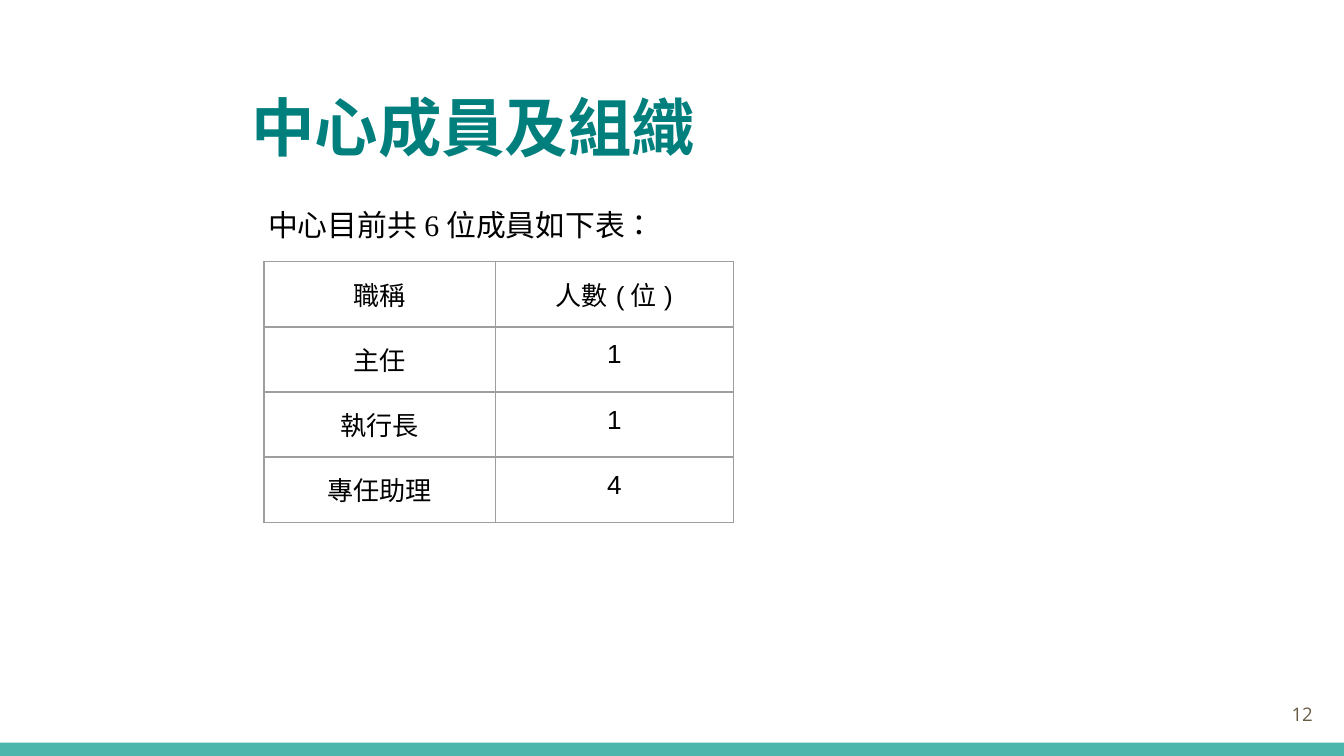
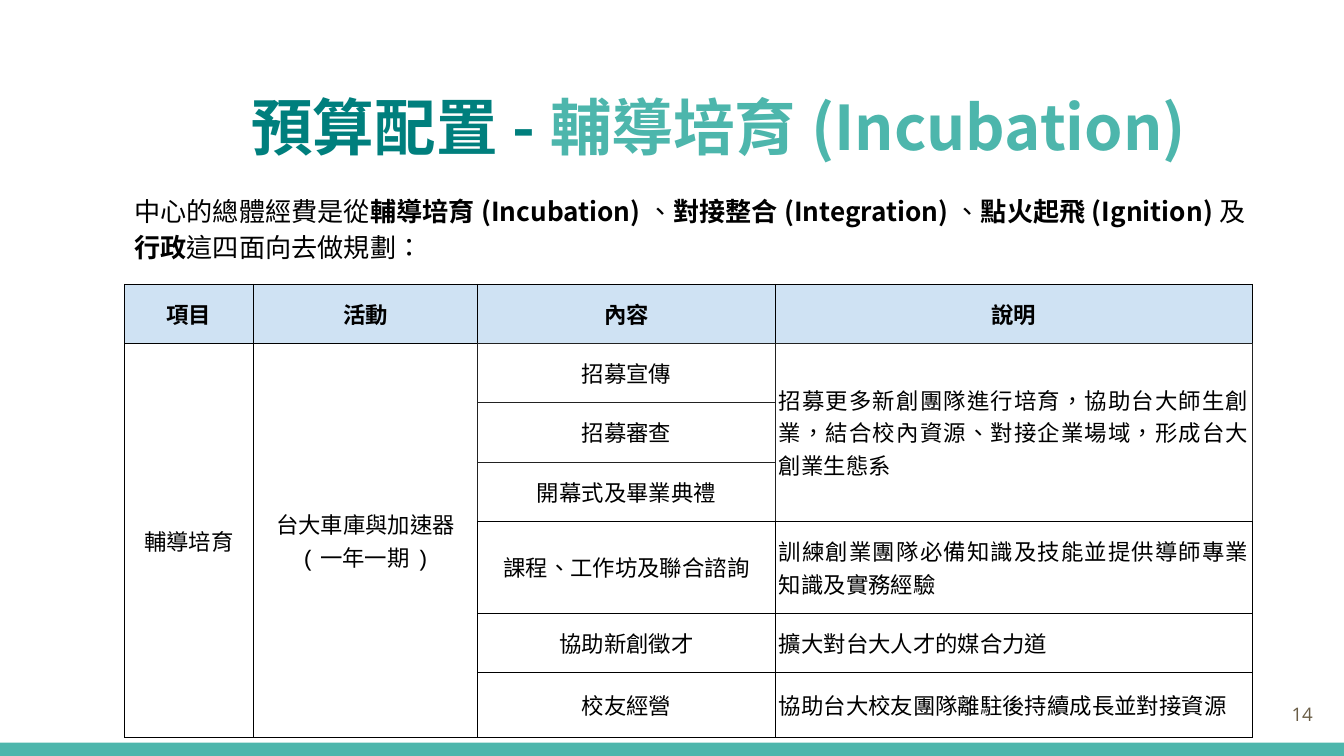
import pptx
import pptx.dml.color
import pptx.enum.shapes
import pptx.enum.text
import pptx.oxml
import pptx.oxml.ns
import pptx.util
from lxml import etree

Cm, Pt = pptx.util.Cm, pptx.util.Pt
ALIGN = pptx.enum.text.PP_ALIGN
ANCHOR = pptx.enum.text.MSO_ANCHOR

COLORS = {
    "deep": "007F7D", "teal": "4DB6AC", "text": "000000", "number": "695D46",
    "grid": "9E9E9E", "soft": "222222", "head": "CFE2F3",
}
CJK = "Noto Sans CJK SC"
LANGUAGE = "zh-TW"
TITLE_BOX = (4.5, 1.4, 20.02, 1.96)
NUMBER_BOX = (23.54, 12.95, 1.52, 1.09)
BAND_BOX = (-0.08, 14.04, 25.56, 0.28)
NUMBER_STYLE = {"size": Pt(10), "name": "Open Sans", "color": "number"}

# Text is a list of (words, format changes).
STAFF = {
    "number": "12",
    "title": [("中心成員及組織", {})],
    "title_size": 34,
    "body": [("中心目前共6位成員如下表：", {})],
    "body_box": (4.82, 3.71, 7.88, 0.89),
    "body_style": {"size": Pt(16), "name": "Times New Roman", "color": "text"},
    "spacing": 0.95,
    "table": {
        "rows": [
            ["職稱", "人數(位)"],
            ["主任", "1"],
            ["執行長", "1"],
            ["專任助理", "4"],
        ],
        "corner": (4.99, 4.95),
        "widths": [4.37, 4.5],
        "heights": [1.23] * 4,
        "style": {"size": Pt(14), "name": "Arial", "color": "text", "bold": False},
        "side": 0.25, "anchor": ANCHOR.TOP, "line": ("grid", 0.75),
        "head": None, "soft_cells": (),
    },
}
BOLD = {"bold": True}
BUDGET = {
    "number": "14",
    "title": [("預算配置-", {}), ("輔導培育(Incubation)", {"color": "teal"})],
    "title_size": 33,
    "body": [
        ("中心的總體經費是從", {}), ("輔導培育(Incubation)", BOLD), ("、", {}),
        ("對接整合(Integration)", BOLD), ("、", {}),
        ("點火起飛(Ignition)", BOLD), ("及", {}), ("行政", BOLD),
        ("這四面向去做規劃：", {}),
    ],
    "body_box": (2.29, 3.35, 21.92, 2.57),
    "body_style": {"size": Pt(14), "name": CJK, "color": "text"},
    "spacing": 1.15,
    "table": {
        # None continues the cell above.
        "rows": [
            ["項目", "活動", "內容", "說明"],
            ["輔導培育", "台大車庫與加速器\n(一年一期)", "招募宣傳",
             "招募更多新創團隊進行培育，協助台大師生創業，結合校內資源、對接企業場域，形成台大創業生態系"],
            [None, None, "招募審查", None],
            [None, None, "開幕式及畢業典禮", None],
            [None, None, "課程、工作坊及聯合諮詢",
             "訓練創業團隊必備知識及技能並提供導師專業知識及實務經驗"],
            [None, None, "協助新創徵才", "擴大對台大人才的媒合力道"],
            [None, None, "校友經營", "協助台大校友團隊離駐後持續成長並對接資源"],
        ],
        "corner": (2.35, 5.37),
        "widths": [2.44, 4.24, 5.62, 9.02],
        "heights": [1.12] * 4 + [1.74, 1.12, 1.23],
        "style": {"size": Pt(12), "name": "Courier New", "color": "text", "bold": False},
        "side": 0.07, "anchor": ANCHOR.MIDDLE, "line": ("text", 0.42),
        "head": "head",
        "soft_cells": [(row, col) for row in (1, 2, 3) for col in (2, 3)],
        "justified": 3,
    },
}


def rgb(name):
    return pptx.dml.color.RGBColor.from_string(COLORS[name])


def write(para, spans, style, align=ALIGN.LEFT, spacing=1.0):
    para.alignment = align
    para.line_spacing = spacing
    for words, changes in spans:
        span = para.add_run()
        span.text = words
        for key, value in {**style, **changes}.items():
            if key == "color":
                span.font.color.rgb = rgb(value)
            else:
                setattr(span.font, key, value)
        properties = span.font._element
        properties.set("lang", LANGUAGE)
        latin = properties.find(pptx.oxml.ns.qn("a:latin"))
        latin.addnext(etree.Element(pptx.oxml.ns.qn("a:ea"), typeface=CJK))


def add_text(page, place, spans, style, anchor=ANCHOR.TOP, **layout):
    frame = page.shapes.add_textbox(*map(Cm, place)).text_frame
    settings = {"word_wrap": True, "vertical_anchor": anchor}
    settings.update({f"margin_{side}": Cm(0.25)
                     for side in ("left", "top", "right", "bottom")})
    for key, value in settings.items():
        setattr(frame, key, value)
    write(frame.paragraphs[0], spans, style, **layout)


def set_borders(cell, color, points):
    properties = cell._tc.get_or_add_tcPr()
    for index, side in enumerate("LRTB"):
        properties.insert(index, pptx.oxml.parse_xml(
            f'<a:ln{side} {pptx.oxml.ns.nsdecls("a")} w="{Pt(points)}">'
            f'<a:solidFill><a:srgbClr val="{COLORS[color]}"/></a:solidFill>'
            f'</a:ln{side}>'))


def add_grid(page, info):
    rows, widths, heights = info["rows"], info["widths"], info["heights"]
    place = (*info["corner"], sum(widths), sum(heights))
    table = page.shapes.add_table(len(rows), len(widths), *map(Cm, place)).table
    table.first_row = table.horz_banding = False
    for column, width in zip(table.columns, widths):
        column.width = Cm(width)
    for line, height in zip(table.rows, heights):
        line.height = Cm(height)

    for r, row in enumerate(rows):
        for c, words in enumerate(row):
            cell = table.cell(r, c)
            settings = {
                "margin_left": Cm(info["side"]), "margin_right": Cm(info["side"]),
                "margin_top": Cm(0.25), "margin_bottom": Cm(0.25),
                "vertical_anchor": info["anchor"],
            }
            for key, value in settings.items():
                setattr(cell, key, value)
            is_head = r == 0 and info["head"] is not None
            if is_head:
                cell.fill.solid()
                cell.fill.fore_color.rgb = rgb(info["head"])
            else:
                cell.fill.background()
            color, points = info["line"]
            set_borders(cell, "soft" if (r, c) in info["soft_cells"] else color, points)
            if words is None:
                continue
            justified = c == info.get("justified") and not is_head
            align = ALIGN.JUSTIFY if justified else ALIGN.CENTER
            frame = cell.text_frame
            for index, text in enumerate(words.split("\n")):
                para = frame.add_paragraph() if index else frame.paragraphs[0]
                write(para, [(text, {"bold": is_head})], info["style"], align)
            last = r
            while last + 1 < len(rows) and rows[last + 1][c] is None:
                last += 1
            if last > r:
                cell.merge(table.cell(last, c))


def add_page(deck, content):
    page = deck.slides.add_slide(deck.slide_layouts[6])
    band = page.shapes.add_shape(
        pptx.enum.shapes.MSO_SHAPE.RECTANGLE, *map(Cm, BAND_BOX))
    band.shadow.inherit = False
    band.fill.solid()
    band.fill.fore_color.rgb = rgb("teal")
    band.line.fill.background()

    title_style = {"size": Pt(content["title_size"]), "name": CJK,
                   "color": "deep", "bold": True}
    add_text(page, TITLE_BOX, content["title"], title_style, ANCHOR.MIDDLE)
    add_text(page, content["body_box"], content["body"], content["body_style"],
             spacing=content["spacing"])
    add_grid(page, content["table"])
    add_text(page, NUMBER_BOX, [(content["number"], {})], NUMBER_STYLE,
             ANCHOR.MIDDLE, align=ALIGN.RIGHT)


def main():
    deck = pptx.Presentation()
    deck.slide_width, deck.slide_height = Cm(25.4), Cm(14.29)
    for content in (STAFF, BUDGET):
        add_page(deck, content)
    deck.save("out.pptx")


if __name__ == "__main__":
    main()
